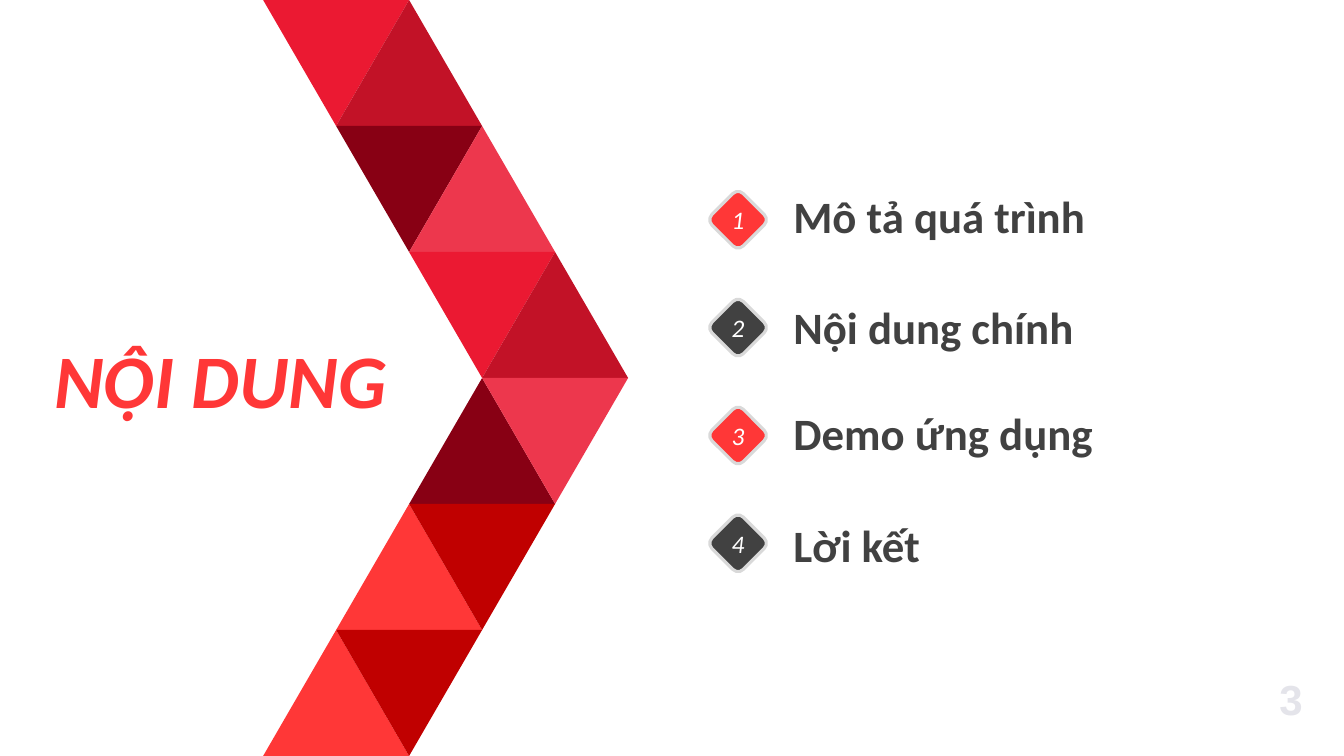
from pptx import Presentation
from pptx.dml.color import RGBColor
from pptx.enum import shapes, text
from pptx.util import Inches, Pt

RED = RGBColor(0xFF, 0x37, 0x37)
DEEP_RED = RGBColor(0xC0, 0x00, 0x00)
CRIMSON = RGBColor(0xEB, 0x19, 0x32)
DARK_CRIMSON = RGBColor(0xC2, 0x12, 0x27)
MAROON = RGBColor(0x88, 0x00, 0x14)
ROSE = RGBColor(0xED, 0x37, 0x4D)
CHARCOAL = RGBColor(0x41, 0x41, 0x41)
SILVER = RGBColor(0xD9, 0xD9, 0xD9)
PALE_GRAY = RGBColor(0xE4, 0xE4, 0xEA)
WHITE = RGBColor(0xFF, 0xFF, 0xFF)

# Left and right triangle colours of each chevron row, from top to bottom
CHEVRON_ROWS = [
    (CRIMSON, DARK_CRIMSON),
    (MAROON, ROSE),
    (CRIMSON, DARK_CRIMSON),
    (MAROON, ROSE),
    (RED, DEEP_RED),
    (RED, DEEP_RED),
]

# Label, top of the label, badge colour
AGENDA = [
    ("Mô tả quá trình", 1.82, RED),
    ("Nội dung chính", 2.92, CHARCOAL),
    ("Demo ứng dụng", 3.98, RED),
    ("Lời kết", 5.09, CHARCOAL),
]


def add_text(parent, content, x, y, w, h, size, color, font="Calibri", bold=False,
             italic=False, align=text.PP_ALIGN.LEFT, wrap=True):
    box = parent.add_textbox(Inches(x), Inches(y), Inches(w), Inches(h))
    tf = box.text_frame
    tf.word_wrap = wrap
    tf.vertical_anchor = text.MSO_ANCHOR.TOP
    p = tf.paragraphs[0]
    p.alignment = align
    r = p.add_run()
    r.text = content
    r.font.name = font
    r.font.size = Pt(size)
    r.font.bold = bold
    r.font.italic = italic
    r.font.color.rgb = color


def add_filled(parent, kind, x, y, w, h, fill):
    """Add a preset shape without outline or shadow."""
    sp = parent.add_shape(kind, Inches(x), Inches(y), Inches(w), Inches(h))
    sp.shadow.inherit = False
    sp.fill.solid()
    sp.fill.fore_color.rgb = fill
    sp.line.fill.background()
    return sp


def add_chevron(slide, x, y, w, h):
    """Stack rows of paired triangles that step right, then back left."""
    group = slide.shapes.add_group_shape().shapes
    count = len(CHEVRON_ROWS)
    half = count // 2
    row_h = h / count
    step = w / (half + 2)
    for row, colors in enumerate(CHEVRON_ROWS):
        indent = min(row, count - 1 - row)
        for side, color in enumerate(colors):
            sp = add_filled(group, shapes.MSO_SHAPE.ISOSCELES_TRIANGLE,
                            x + (indent + side) * step, y + row * row_h,
                            2 * step, row_h, color)
            points_down = (side == 0) == (row < half)
            if points_down:
                sp._element.spPr.get_or_add_xfrm().set("flipV", "1")


def add_agenda_item(slide, number, label, x, badge_y, label_y, color):
    group = slide.shapes.add_group_shape().shapes
    add_text(group, label, x + 0.67, label_y, 3.8, 0.64, 32, CHARCOAL, bold=True)
    badge = add_filled(group, shapes.MSO_SHAPE.ROUNDED_RECTANGLE,
                       x, badge_y, 0.44, 0.44, color)
    badge.rotation = 45
    badge.line.color.rgb = SILVER
    badge.line.width = Pt(2.25)
    add_text(group, str(number), x + 0.05, badge_y + 0.02, 0.34, 0.4, 18, WHITE,
             italic=True, align=text.PP_ALIGN.CENTER, wrap=False)


def add_agenda(slide, x, y, pitch):
    for i, (label, label_y, color) in enumerate(AGENDA):
        add_agenda_item(slide, i + 1, label, x, y + i * pitch, label_y, color)


def main():
    prs = Presentation()
    prs.slide_width = Inches(13.33)
    prs.slide_height = Inches(7.5)
    slide = prs.slides.add_slide(prs.slide_layouts[6])
    add_chevron(slide, 2.61, 0, 3.62, 7.5)
    add_text(slide.shapes, "NỘI DUNG", 0.44, 3.25, 4.12, 1.01, 54, RED,
             bold=True, italic=True)
    add_agenda(slide, 7.1, 1.96, 1.07)
    add_text(slide.shapes, "3", 12.22, 6.63, 0.8, 0.55, 30, PALE_GRAY, font="Arial",
             bold=True, align=text.PP_ALIGN.RIGHT)
    prs.save("out.pptx")


if __name__ == "__main__":
    main()
